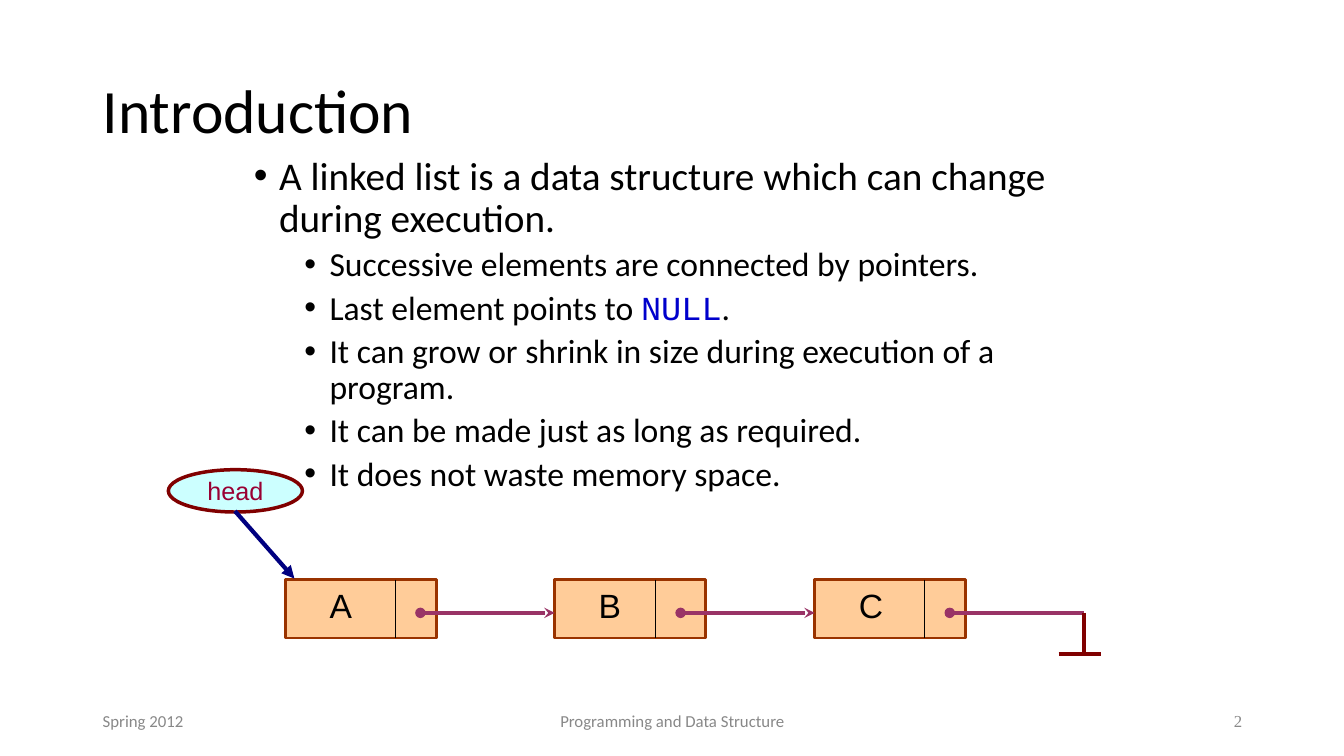
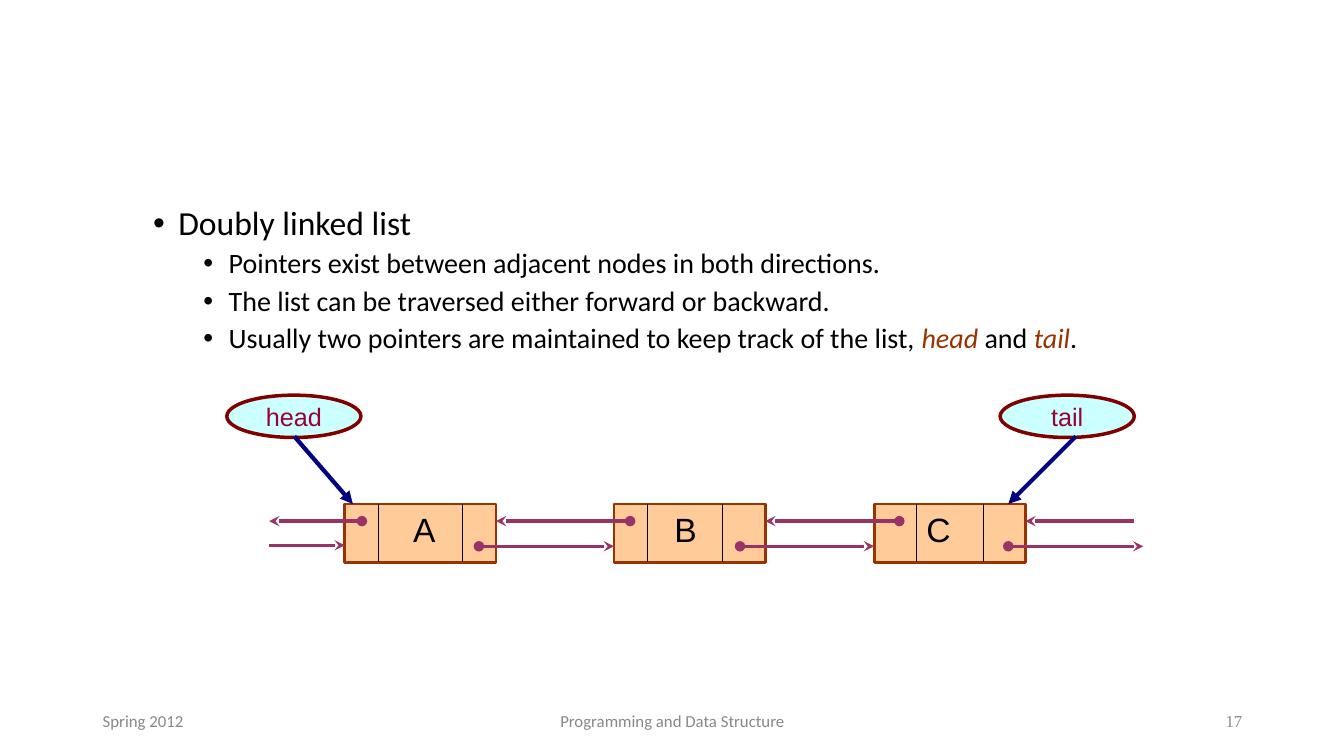
from lxml.etree import SubElement
from pptx import Presentation
from pptx.dml.color import RGBColor
from pptx.enum.shapes import MSO_CONNECTOR, MSO_SHAPE
from pptx.enum.text import MSO_ANCHOR, PP_ALIGN
from pptx.oxml.ns import qn
from pptx.util import Emu, Pt

PX = 9144  # EMU per px, 100 px to the inch
BLACK, GREY, NUMBER_GREY = "000000", "888888", "898989"
PEACH, BROWN, PLUM = "FFCC99", "993300", "993366"
AQUA, MAROON, CRIMSON, NAVY, BLUE = "CCFFFF", "800000", "990033", "000080", "0000CC"
BODY_FONT, LABEL_FONT, CODE_FONT, NUMBER_FONT = "Calibri", "Arial", "Courier New", "Times New Roman"
NODE_WIDTH, NODE_HEIGHT = 150, 58
POINTER_WIDTH, POINTER_HEIGHT = 133, 42


def px(*lengths):
    return [Emu(length * PX) for length in lengths]


def rgb(code):
    return RGBColor.from_string(code)


class ListDeck:
    def __init__(self):
        self.deck = Presentation()
        self.deck.slide_width, self.deck.slide_height = px(1333, 750)
        self.page = None

    def new_page(self, number):
        self.page = self.deck.slides.add_slide(self.deck.slide_layouts[6])
        self.footer(92, 300, "Spring 2012", PP_ALIGN.LEFT)
        self.footer(442, 450, "Programming and Data Structure", PP_ALIGN.CENTER)
        self.footer(942, 300, str(number), PP_ALIGN.RIGHT, NUMBER_FONT, NUMBER_GREY)

    def span(self, para, text, size, font=BODY_FONT, color=BLACK, italic=False):
        span = para.add_run()
        span.text = text
        span.font.size = Pt(size)
        span.font.name = font
        span.font.color.rgb = rgb(color)
        span.font.italic = italic

    def text_box(self, left, top, width, height, anchor=MSO_ANCHOR.TOP):
        frame = self.page.shapes.add_textbox(*px(left, top, width, height)).text_frame
        frame.word_wrap = True
        frame.vertical_anchor = anchor
        return frame

    def footer(self, left, width, text, align, font=BODY_FONT, color=GREY):
        para = self.text_box(left, 695, width, 40, MSO_ANCHOR.MIDDLE).paragraphs[0]
        para.alignment = align
        self.span(para, text, 12, font, color)

    def title(self, text):
        para = self.text_box(92, 40, 1150, 145, MSO_ANCHOR.MIDDLE).paragraphs[0]
        para.line_spacing = 0.9
        self.span(para, text, 44)

    def bullets(self, place, first_level, sizes, items):
        """One lead bullet, then sub-bullets; an item is a list of (text, style) pairs."""
        frame = self.text_box(*place)
        for index, item in enumerate(items):
            para = frame.add_paragraph() if index else frame.paragraphs[0]
            depth = 1 if index else 0
            para.level = first_level + depth
            margin, hanging = px(25 + 50 * para.level, -25)
            props = para._p.get_or_add_pPr()
            props.set("marL", str(margin))
            props.set("indent", str(hanging))
            SubElement(SubElement(props, qn("a:buClr")), qn("a:srgbClr"), val=BLACK)
            SubElement(props, qn("a:buFont"), typeface=LABEL_FONT)
            SubElement(props, qn("a:buChar"), char="•")
            para.line_spacing = 0.9
            if index:
                para.space_before = Pt(5)
            for text, style in item:
                self.span(para, text, sizes[depth], **style)

    def line(self, start, end, color, width, head=None, tail=None):
        line = self.page.shapes.add_connector(MSO_CONNECTOR.STRAIGHT, *px(*start, *end))
        line.line.color.rgb = rgb(color)
        line.line.width = Pt(width)
        stroke = line.line._get_or_add_ln()
        for tag, kind in (("a:headEnd", head), ("a:tailEnd", tail)):
            if kind:
                SubElement(stroke, qn(tag), type=kind)
        SubElement(line._element.spPr, qn("a:effectLst"))

    def link(self, left, right, y, head=None, tail="stealth"):
        self.line((left, y), (right, y), PLUM, 2.5, head, tail)

    def shape(self, kind, place, fill, outline, width):
        shape = self.page.shapes.add_shape(kind, *px(*place))
        shape.shadow.inherit = False
        shape.fill.solid()
        shape.fill.fore_color.rgb = rgb(fill)
        shape.line.color.rgb = rgb(outline)
        shape.line.width = Pt(width)
        return shape

    def node(self, left, top, letter, letter_left, dividers):
        self.shape(MSO_SHAPE.RECTANGLE, (left, top, NODE_WIDTH, NODE_HEIGHT), PEACH, BROWN, 2)
        for x in dividers:
            self.line((x, top), (x, top + NODE_HEIGHT), BLACK, 0.75)
        para = self.text_box(letter_left, top, 67, 50).paragraphs[0]
        self.span(para, letter, 24, LABEL_FONT)

    def pointer(self, left, top, name, arrow_left, target):
        """Named oval with an arrow from its lower edge to a node."""
        oval = self.shape(MSO_SHAPE.OVAL, (left, top, POINTER_WIDTH, POINTER_HEIGHT), AQUA, MAROON, 2.5)
        frame = oval.text_frame
        frame.vertical_anchor = MSO_ANCHOR.MIDDLE
        para = frame.paragraphs[0]
        para.alignment = PP_ALIGN.CENTER
        self.span(para, name, 18, LABEL_FONT, CRIMSON)
        self.line((arrow_left, top + POINTER_HEIGHT - 1), target, NAVY, 3, tail="triangle")


def plain(text):
    return [(text, {})]


def introduction(show):
    show.new_page(2)
    show.title("Introduction")
    show.bullets((242, 150, 875, 517), 0, (28, 24), [
        plain("A linked list is a data structure which can change during execution."),
        plain("Successive elements are connected by pointers."),
        [("Last element points to ", {}), ("NULL", {"font": CODE_FONT, "color": BLUE}), (".", {})],
        plain("It can grow or shrink in size during execution of a program."),
        plain("It can be made just as long as required."),
        plain("It does not waste memory space."),
    ])
    top, link_y, ground_x, ground_y = 575, 608, 1075, 649
    nodes = [("A", 283, 392), ("B", 550, 650), ("C", 808, 917)]
    for letter, left, divider in nodes:
        show.node(left, top, letter, left + 34, [divider])
    ends = [left for _, left, _ in nodes[1:]] + [ground_x]
    for (_, _, divider), end in zip(nodes, ends):
        show.link(divider + 25, end, link_y, "oval", None if end == ground_x else "stealth")
    show.line((ground_x, link_y), (ground_x, ground_y), MAROON, 2.5)
    show.line((1050, ground_y), (1092, ground_y), MAROON, 2.5)
    show.pointer(167, 466, "head", 233, (292, 574))


def doubly_linked(show):
    show.new_page(17)
    term = {"color": BROWN, "italic": True}
    show.bullets((92, 200, 1150, 476), 1, (24, 20), [
        plain("Doubly linked list"),
        plain("Pointers exist between adjacent nodes in both directions."),
        plain("The list can be traversed either forward or backward."),
        [("Usually two pointers are maintained to keep track of the list, ", {}),
         ("head", term), (" and ", {}), ("tail", term), (".", {})],
    ])
    top, back_y, forward_y = 500, 517, 542
    outer_left, outer_right = 267, 1134
    nodes = [("A", 342, 400, 375, 459), ("B", 609, 659, 642, 717), ("C", 867, 909, 909, 975)]
    for letter, left, letter_left, *dividers in nodes:
        show.node(left, top, letter, letter_left, dividers)
    lefts = [left for _, left, *_ in nodes]
    back_ends = [outer_left] + [left + NODE_WIDTH for left in lefts[:-1]]
    forward_ends = lefts[1:] + [outer_right]
    back_starts, forward_starts = (359, 625, 892), (475, 734, 1000)
    for start, end in zip(back_starts, back_ends):
        show.link(start, end, back_y, "oval")
    for start, end in zip(forward_starts, forward_ends):
        show.link(start, end, forward_y, "oval")
    show.link(outer_left, lefts[0], forward_y - 1)
    show.link(1125, lefts[-1] + NODE_WIDTH, back_y)
    show.pointer(225, 392, "head", 292, (350, top))
    show.pointer(992, 392, "tail", 1067, (1000, top))


def main():
    show = ListDeck()
    introduction(show)
    doubly_linked(show)
    show.deck.save("out.pptx")


if __name__ == "__main__":
    main()
